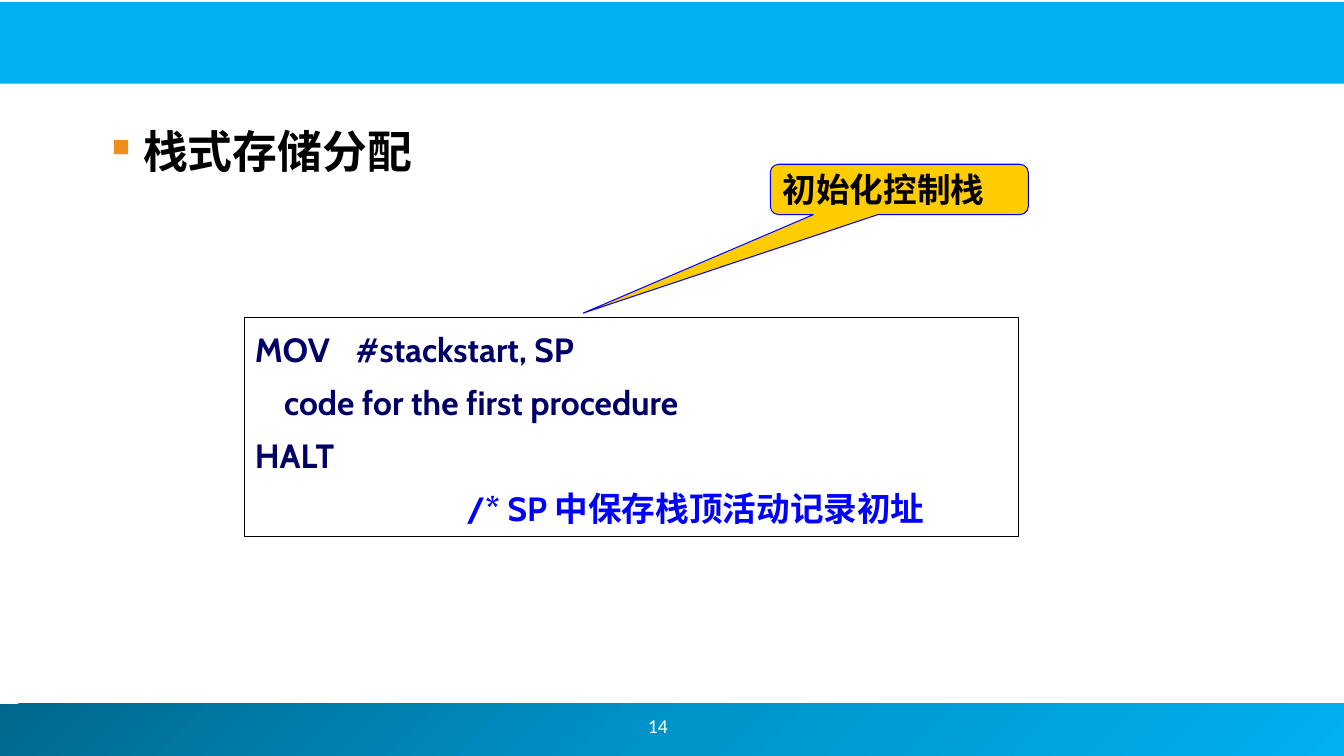
from copy import deepcopy
from dataclasses import dataclass

from lxml import etree
from pptx import Presentation
from pptx.dml.color import RGBColor
from pptx.enum.shapes import MSO_SHAPE as Preset
from pptx.enum.text import MSO_ANCHOR as Anchor, MSO_AUTO_SIZE as AutoSize, PP_ALIGN as Align
from pptx.oxml.ns import qn
from pptx.shapes.autoshape import Shape
from pptx.slide import Slide
from pptx.text.text import _Paragraph as Paragraph
from pptx.util import Inches, Pt

COLORS = {
    "band": "00B0F0", "band_mid": "0094CA", "band_dark": "00688E",
    "white": "FFFFFF", "black": "000000", "bullet": "EF8E1C",
    "code": "000066", "comment": "0000FF", "callout": "FFCC00",
}


@dataclass
class Box:
    left: float
    top: float
    width: float
    height: float
    fill: str | None = None
    line: str | None = None
    preset: Preset = Preset.RECTANGLE


@dataclass
class CodeLine:
    text: str
    indent: float = 0
    color: str = "code"


HEADER = Box(-0.02, 0.02, 13.36, 0.81, "band")
FOOTER = Box(-0.05, 6.98, 13.39, 0.52, "band")
HEADING = Box(0.51, 1.18, 3.83, 0.58)
PAGE_NUMBER = Box(5.08, 6.95, 2.89, 0.5)
CODE = Box(2.43, 3.15, 7.67, 2.17, line="black")
CALLOUT = Box(7.64, 1.63, 2.56, 0.5, "callout", "comment", Preset.ROUNDED_RECTANGULAR_CALLOUT)
CALLOUT_ADJUSTMENTS = (-1.225, 2.453, 0.167)
OPERAND_TAB = 1.12
CODE_LINES = [
    CodeLine("MOV\t#stackstart, SP"),
    CodeLine("code for the first procedure", 0.29),
    CodeLine("HALT"),
    CodeLine("/* SP 中保存栈顶活动记录初址", 2.1, "comment"),
]


def rgb(name: str) -> RGBColor:
    return RGBColor.from_string(COLORS[name])


def place(box: Box) -> tuple:
    return tuple(Inches(value) for value in (box.left, box.top, box.width, box.height))


def add_box(slide: Slide, box: Box) -> Shape:
    shape = slide.shapes.add_shape(box.preset, *place(box))
    shape.shadow.inherit = False
    if box.fill:
        shape.fill.solid()
        shape.fill.fore_color.rgb = rgb(box.fill)
    else:
        shape.fill.background()
    if box.line:
        shape.line.color.rgb = rgb(box.line)
        shape.line.width = Pt(0.75)
    else:
        shape.line.fill.background()
    return shape


def set_frame(shape: Shape, anchor: Anchor) -> None:
    settings = {"word_wrap": True, "auto_size": AutoSize.NONE, "vertical_anchor": anchor}
    for name, value in settings.items():
        setattr(shape.text_frame, name, value)


def write(paragraph: Paragraph, text: str, size: float, color: str,
          font: str = "Cabin", bold: bool = True, align: Align = Align.LEFT) -> None:
    paragraph.text = text
    paragraph.alignment = align
    for name, value in {"name": font, "size": Pt(size), "bold": bold}.items():
        setattr(paragraph.font, name, value)
    paragraph.font.color.rgb = rgb(color)


def set_indent(paragraph: Paragraph, left: float, first: float = 0) -> etree._Element:
    properties = paragraph._p.get_or_add_pPr()
    properties.set("marL", str(Inches(left)))
    properties.set("indent", str(Inches(first)))
    return properties


def add_bullet(paragraph: Paragraph) -> None:
    properties = set_indent(paragraph, 0.81, -0.31)
    color = etree.SubElement(properties, qn("a:buClr"))
    etree.SubElement(color, qn("a:srgbClr"), val=COLORS["bullet"])
    etree.SubElement(properties, qn("a:buSzPct"), val="55000")
    etree.SubElement(properties, qn("a:buChar"), char="■")


def add_tab(paragraph: Paragraph, position: float) -> None:
    tabs = etree.SubElement(paragraph._p.get_or_add_pPr(), qn("a:tabLst"))
    etree.SubElement(tabs, qn("a:tab"), pos=str(Inches(position)), algn="l")


def shade_footer(footer: Shape) -> None:
    """Fill the footer with a three-stop diagonal gradient."""
    footer.fill.gradient()
    footer.fill.gradient_angle = 315
    stops = footer.element.spPr.find(qn("a:gradFill")).find(qn("a:gsLst"))
    stops.append(deepcopy(stops[-1]))
    shades = ((0, "band_dark"), (0.5, "band_mid"), (1, "band"))
    for stop, (position, color) in zip(footer.fill.gradient_stops, shades):
        stop.position = position
        stop.color.rgb = rgb(color)


def add_heading(slide: Slide) -> None:
    title = slide.shapes.title
    title.left, title.top, title.width, title.height = place(HEADING)
    title.fill.solid()
    title.fill.fore_color.rgb = rgb("white")
    set_frame(title, Anchor.TOP)
    paragraph = title.text_frame.paragraphs[0]
    add_bullet(paragraph)
    write(paragraph, "栈式存储分配", 32, "black")


def add_code(slide: Slide) -> None:
    shape = add_box(slide, CODE)
    set_frame(shape, Anchor.TOP)
    frame = shape.text_frame
    for index, line in enumerate(CODE_LINES):
        paragraph = frame.add_paragraph() if index else frame.paragraphs[0]
        set_indent(paragraph, line.indent)
        if "\t" in line.text:
            add_tab(paragraph, OPERAND_TAB)
        write(paragraph, line.text, 24, line.color, align=Align.JUSTIFY)
        paragraph.line_spacing = 1.15
        paragraph.space_before = Pt(4.8 if index else 0)


def add_callout(slide: Slide) -> None:
    shape = add_box(slide, CALLOUT)
    for index, value in enumerate(CALLOUT_ADJUSTMENTS):
        shape.adjustments[index] = value
    set_frame(shape, Anchor.MIDDLE)
    write(shape.text_frame.paragraphs[0], "初始化控制栈", 24, "black", "Times New Roman")


def add_page_number(slide: Slide) -> None:
    shape = slide.shapes.add_textbox(*place(PAGE_NUMBER))
    set_frame(shape, Anchor.MIDDLE)
    write(shape.text_frame.paragraphs[0], "14", 14, "white", "Calibri", False, Align.CENTER)


def main() -> None:
    presentation = Presentation()
    presentation.slide_width = Inches(13.33)
    presentation.slide_height = Inches(7.5)
    slide = presentation.slides.add_slide(presentation.slide_layouts[5])
    shade_footer(add_box(slide, FOOTER))
    add_box(slide, HEADER)
    add_page_number(slide)
    add_code(slide)
    add_callout(slide)
    add_heading(slide)
    presentation.save("out.pptx")


if __name__ == "__main__":
    main()
